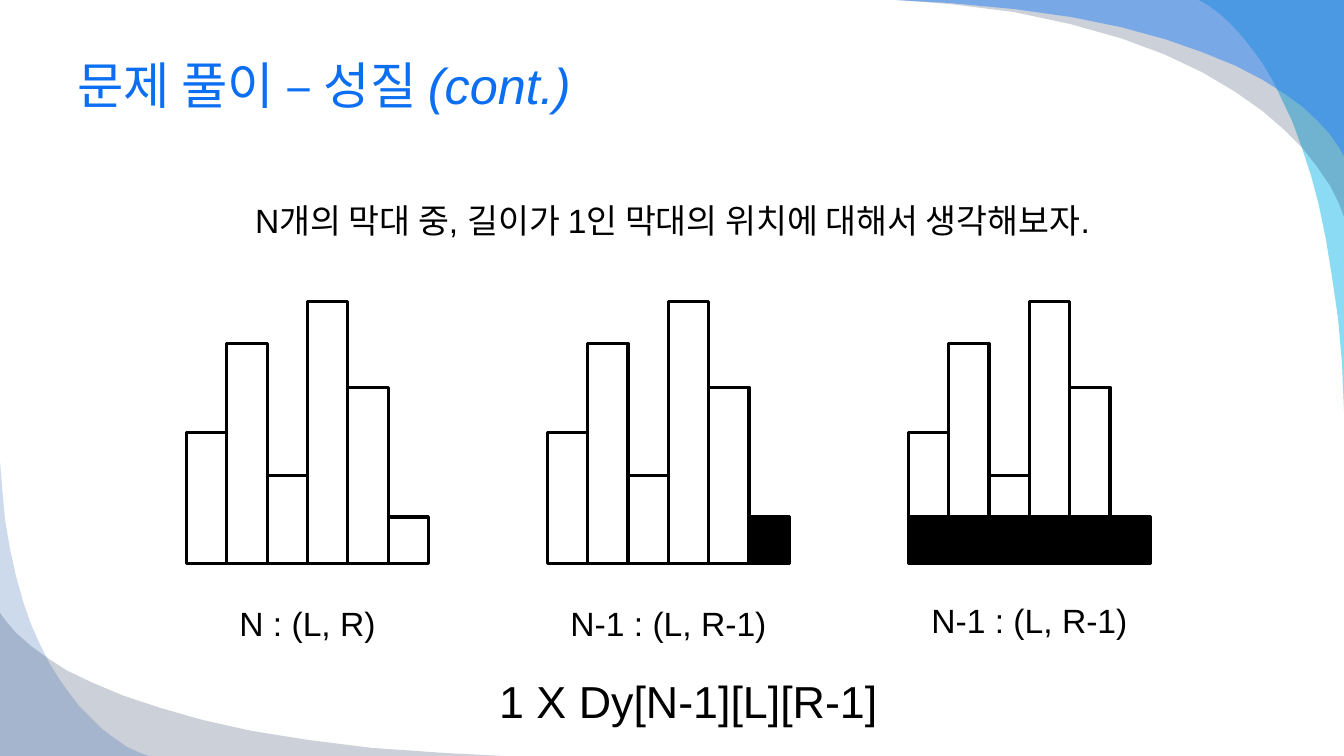
"""Build the slide on bar positions and the resulting recurrence."""
from lxml import etree
from pptx import Presentation
from pptx.dml.color import RGBColor
from pptx.enum.shapes import MSO_SHAPE
from pptx.enum.text import MSO_ANCHOR, PP_ALIGN
from pptx.oxml.ns import qn
from pptx.util import Inches, Pt

RECT = MSO_SHAPE.RECTANGLE
TOP, MIDDLE = MSO_ANCHOR.TOP, MSO_ANCHOR.MIDDLE
LEFT, CENTER = PP_ALIGN.LEFT, PP_ALIGN.CENTER

BLACK = RGBColor(0x00, 0x00, 0x00)
WHITE = RGBColor(0xFF, 0xFF, 0xFF)
TITLE = RGBColor(0x0C, 0x6F, 0xF2)
CYAN = RGBColor(0x00, 0xB1, 0xE9)
NAVY = RGBColor(0x02, 0x17, 0x41)
BLUE = RGBColor(0x24, 0x7F, 0xF4)
DEEP = RGBColor(0x08, 0x4A, 0xA1)

WAVES = [
    (CYAN, 45, [(13.33, 4.08), (13.33, 0), (11.89, 0), (11.98, 0.05),
                (12.1, 0.14), (12.2, 0.23), (12.31, 0.35), (12.43, 0.5),
                (12.53, 0.64), (12.63, 0.81), (12.72, 1), (12.82, 1.21),
                (12.91, 1.46), (13, 1.73), (13.08, 2.03), (13.15, 2.37),
                (13.21, 2.74), (13.27, 3.15), (13.31, 3.6)]),
    (NAVY, 20, [(8.89, 0), (13.33, 0), (13.33, 2.15), (13.28, 2.02),
                (13.19, 1.84), (13.06, 1.65), (12.92, 1.47), (12.74, 1.29),
                (12.52, 1.1), (12.25, 0.91), (11.93, 0.72), (11.55, 0.54),
                (11.12, 0.38), (10.62, 0.24), (10.06, 0.12), (9.42, 0.04)]),
    (BLUE, 49, [(8.89, 0), (13.33, 0), (13.33, 1.55), (13.28, 1.46),
                (13.19, 1.33), (13.06, 1.19), (12.92, 1.06), (12.74, 0.93),
                (12.52, 0.79), (12.25, 0.65), (11.93, 0.52), (11.56, 0.39),
                (11.12, 0.27), (10.63, 0.17), (10.06, 0.09), (9.42, 0.03)]),
    (NAVY, 20, [(5, 7.5), (0, 7.5), (0, 6.08), (0.06, 6.16),
                (0.16, 6.28), (0.31, 6.41), (0.46, 6.52), (0.66, 6.65),
                (0.91, 6.77), (1.22, 6.9), (1.58, 7.02), (2, 7.14),
                (2.49, 7.25), (3.05, 7.34), (3.69, 7.42), (4.41, 7.47)]),
    (DEEP, 20, [(0, 4.58), (0, 7.5), (1.48, 7.5), (1.39, 7.47),
                (1.26, 7.41), (1.13, 7.32), (1.01, 7.23), (0.89, 7.11),
                (0.79, 7.01), (0.69, 6.88), (0.59, 6.74), (0.49, 6.58),
                (0.4, 6.4), (0.31, 6.2), (0.23, 5.97), (0.16, 5.72),
                (0.1, 5.45), (0.05, 5.15), (0.02, 4.82)]),
]

BAR, BASE = 0.4, 5.59
TOPS = [4.29, 3.41, 4.72, 2.99, 3.84, 5.13]
CHARTS = [("N : (L, R)", 5.9, None),
          ("N-1 : (L, R-1)", 5.9, (5, 1)),
          ("N-1 : (L, R-1)", 5.87, (0, 6))]


def wave(slide, color, alpha, points):
    """Draw one translucent corner wave."""
    spots = [(Inches(x), Inches(y)) for x, y in points]
    form = slide.shapes.build_freeform(*spots[0], scale=1.0)
    form.add_line_segments(spots[1:], close=True)
    shape = form.convert_to_shape()
    shape.shadow.inherit = False
    shape.line.fill.background()
    shape.fill.solid()
    shape.fill.fore_color.rgb = color
    tint = shape.fill._xPr.find(qn("a:solidFill"))[0]
    etree.SubElement(tint, qn("a:alpha"), val=str(alpha * 1000))


def label(slide, box, runs, size, color=BLACK, align=CENTER, anchor=TOP, top=0.08):
    """Write one paragraph of (text, italic) runs in a box."""
    frame = slide.shapes.add_textbox(*map(Inches, box)).text_frame
    look = {"word_wrap": True, "vertical_anchor": anchor, "margin_top": Inches(top)}
    for key, value in look.items():
        setattr(frame, key, value)
    para = frame.paragraphs[0]
    para.alignment = align
    for text, slant in runs:
        run = para.add_run()
        run.text = text
        run.font.color.rgb = color
        style = {"name": "Arial", "size": Pt(size), "italic": slant}
        for key, value in style.items():
            setattr(run.font, key, value)


def bar(slide, box, color):
    """Draw one outlined bar."""
    shape = slide.shapes.add_shape(RECT, *map(Inches, box))
    shape.shadow.inherit = False
    shape.fill.solid()
    shape.fill.fore_color.rgb = color
    shape.line.color.rgb = BLACK
    shape.line.width = Pt(2.25)


def bars(slide, left, text, low, dark):
    """Draw a bar group with its dark part and its caption."""
    for top, slot in sorted((top, slot) for slot, top in enumerate(TOPS)):
        bar(slide, (left + slot * BAR, top, BAR, BASE - top), WHITE)
    if dark:
        first, count = dark
        bar(slide, (left + first * BAR, TOPS[-1], count * BAR, BASE - TOPS[-1]), BLACK)
    label(slide, (left, low, 6 * BAR, 0.54), [(text, False)], 24)


def main():
    """Build and save the slide."""
    deck = Presentation()
    deck.slide_width, deck.slide_height = Inches(13.33), Inches(7.5)
    slide = deck.slides.add_slide(deck.slide_layouts[6])
    for item in WAVES:
        wave(slide, *item)
    label(slide, (0.67, 0.33, 12, 1.01), [("문제 풀이 – 성질 ", False), ("(cont.)", True)],
          36, TITLE, LEFT, MIDDLE, 0.05)
    label(slide, (0.67, 1.48, 12, 1.19),
          [("N개의 막대 중, 길이가 1인 막대의 위치에 대해서 생각해보자.", False)], 24, top=0.5)
    for slot, item in enumerate(CHARTS):
        bars(slide, 1.85 + slot * 3.58, *item)
    label(slide, (0.83, 6.6, 12, 0.71), [("1 X Dy[N-1][L][R-1]", False)], 32)
    deck.save("out.pptx")


if __name__ == "__main__":
    main()
